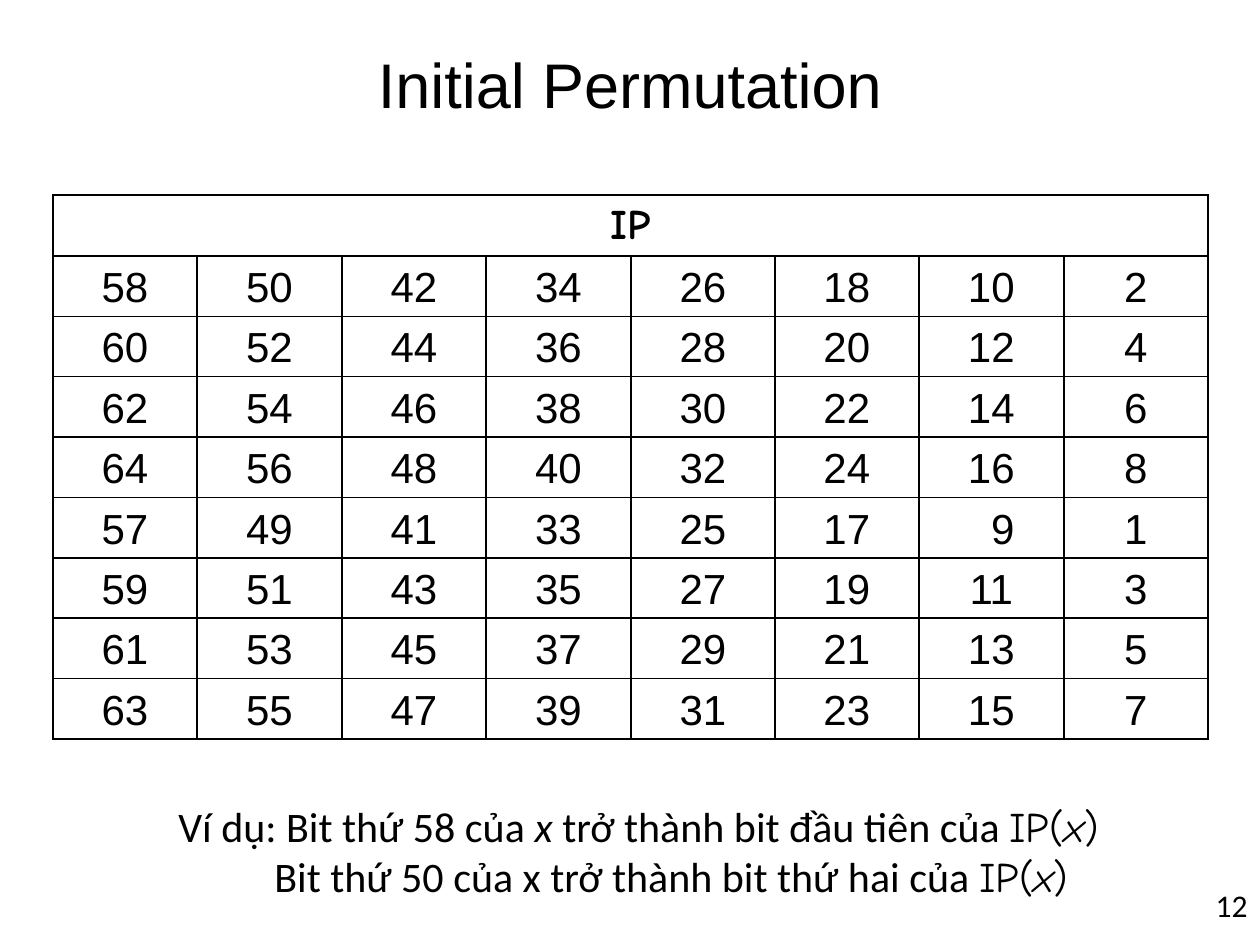
import pptx
import pptx.util
import pptx.dml.color
import pptx.enum.text
import pptx.oxml
import pptx.oxml.ns

PX = 914400 / 126
ALIGN = pptx.enum.text.PP_ALIGN
ANCHOR = pptx.enum.text.MSO_ANCHOR


def px(n):
    return pptx.util.Emu(round(n * PX))


def add_run(p, text, size, font, bold=False, italic=False, color="000000"):
    r = p.add_run()
    r.text = text
    r.font.size = pptx.util.Pt(size)
    r.font.name = font
    r.font.bold = bold
    r.font.italic = italic
    r.font.color.rgb = pptx.dml.color.RGBColor.from_string(color)


prs = pptx.Presentation()
prs.slide_width, prs.slide_height = px(1260), px(945)
s = prs.slides.add_slide(prs.slide_layouts[6])

# Title
tf = s.shapes.add_textbox(px(53), px(47), px(1154), px(73)).text_frame
tf.word_wrap = True
tf.vertical_anchor = ANCHOR.MIDDLE
p = tf.paragraphs[0]
p.alignment = ALIGN.CENTER
add_run(p, "Initial Permutation", 36, "Arial")

# Permutation table: each row steps down by 8 from its first number
firsts = [58, 60, 62, 64, 57, 59, 61, 63]
rows = [["IP"] + [""] * 7] + [[str(n - 8 * c) for c in range(8)] for n in firsts]
xs = [round(c * 1155 / 8) for c in range(9)]
ys = [0] + [61 + round(i * 475 / 8) for i in range(9)]

table = s.shapes.add_table(9, 8, px(53), px(195), px(1155), px(536)).table
table.first_row = table.horz_banding = False
for c in range(8):
    table.columns[c].width = px(xs[c + 1] - xs[c])
table.cell(0, 0).merge(table.cell(0, 7))

for i, row in enumerate(rows):
    table.rows[i].height = px(ys[i + 1] - ys[i])
    for c, text in enumerate(row):
        cell = table.cell(i, c)
        cell.margin_top = cell.margin_bottom = px(5)
        cell.margin_left = px(35 if text == "9" else 12)  # the 9 aligns with the units
        cell.margin_right = px(12)
        cell.vertical_anchor = ANCHOR.BOTTOM if i else ANCHOR.MIDDLE
        tcPr = cell._tc.get_or_add_tcPr()
        for side in ("lnL", "lnR", "lnT", "lnB"):
            tcPr.append(pptx.oxml.parse_xml(
                f'<a:{side} {pptx.oxml.ns.nsdecls("a")} w="12700"><a:solidFill>'
                f'<a:srgbClr val="000000"/></a:solidFill></a:{side}>'))
        cell.fill.background()
        p = cell.text_frame.paragraphs[0]
        p.alignment = ALIGN.CENTER
        if text:
            add_run(p, text, 24, "Arial" if i else "Comic Neue", bold=i == 0)

# Worked example, second line indented under the first
lines = [
    (0, [("Ví dụ: Bit thứ 58 của ", False), ("x", True),
         (" trở thành bit đầu tiên của ", False)]),
    (96, [("Bit thứ 50 của x trở thành bit thứ hai của ", False)]),
]
tf = s.shapes.add_textbox(px(166), px(794), px(965), px(115)).text_frame
tf.word_wrap = True
for i, (indent, parts) in enumerate(lines):
    p = tf.add_paragraph() if i else tf.paragraphs[0]
    p._p.get_or_add_pPr().set("marL", str(px(indent)))
    for text, italic in parts:
        add_run(p, text, 24, "Calibri", italic=italic)
    for text in ("IP(", "x", ")"):
        add_run(p, text, 24, "Comic Neue", italic=text == "x")

# Slide number
tf = s.shapes.add_textbox(px(966), px(880), px(294), px(65)).text_frame
tf.word_wrap = True
p = tf.paragraphs[0]
p.alignment = ALIGN.RIGHT
add_run(p, "12", 18, "Calibri")

prs.save("out.pptx")
